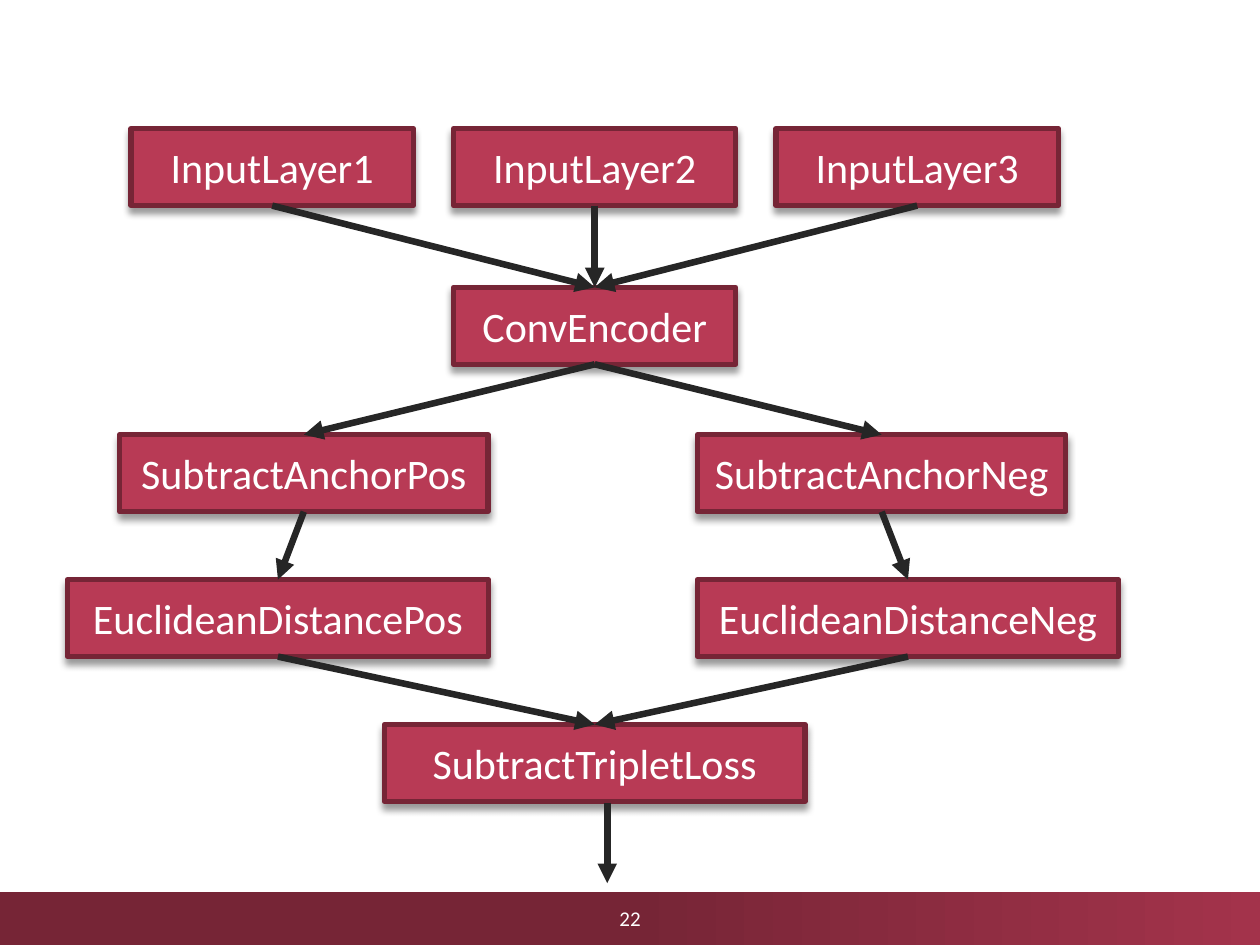
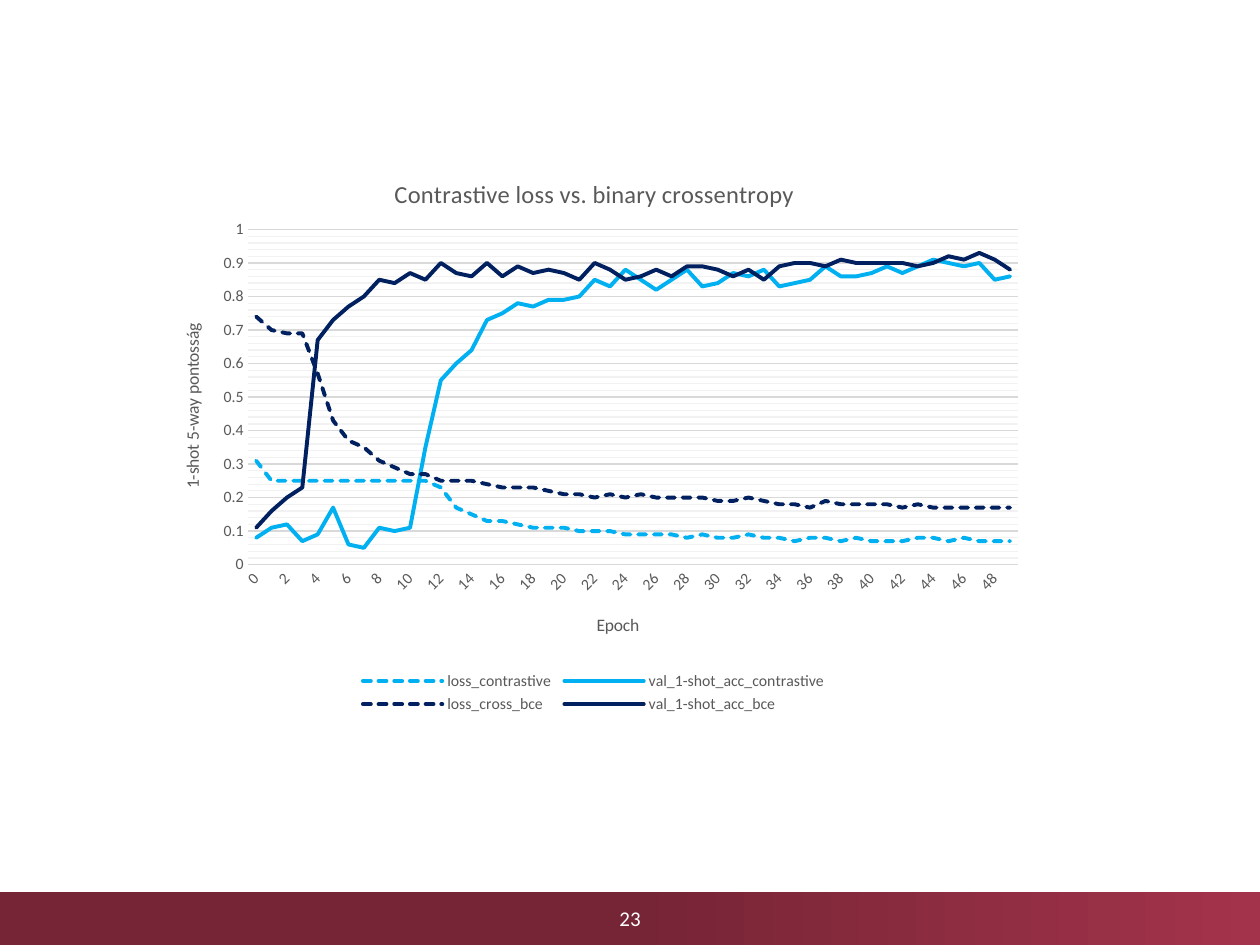
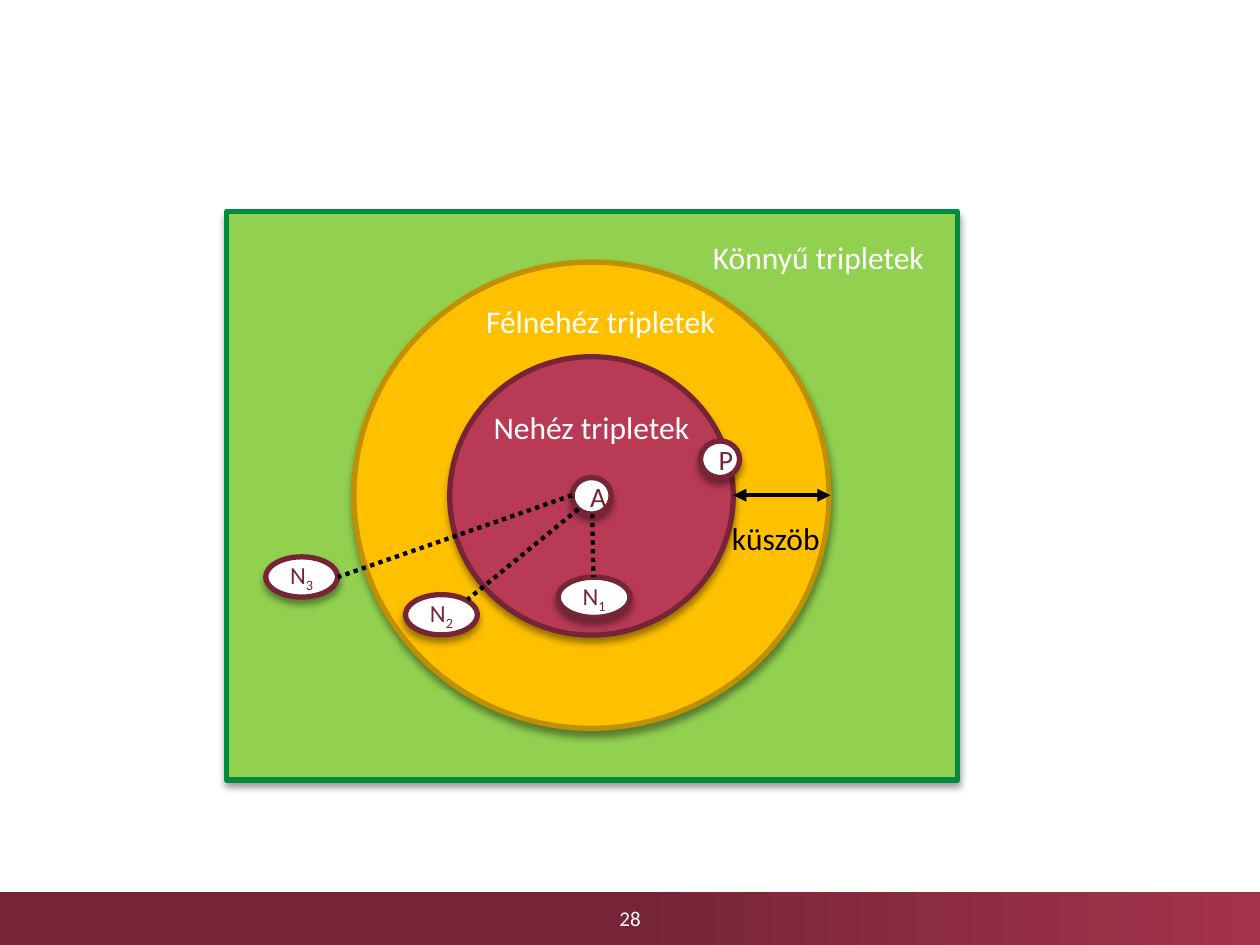
import copy
from dataclasses import dataclass
from typing import NamedTuple

import lxml.etree
import pptx
import pptx.chart.data
import pptx.dml.color
import pptx.enum.chart
import pptx.enum.dml
import pptx.enum.shapes
import pptx.enum.text
import pptx.oxml.ns
import pptx.util

Pt = pptx.util.Pt
qn = pptx.oxml.ns.qn
Kind = pptx.enum.shapes.MSO_SHAPE
Dash = pptx.enum.dml.MSO_LINE
Align = pptx.enum.text.PP_ALIGN


# Colours and type sizes
@dataclass(frozen=True)
class Theme:
    font: str = "Calibri"
    white: str = "FFFFFF"
    black: str = "000000"
    wine: str = "762536"
    rose: str = "B83A55"
    blush: str = "A3334B"
    ink: str = "262626"
    lime: str = "92D050"
    green: str = "008A3E"
    gold: str = "FFC000"
    bronze: str = "BF9000"
    sky: str = "00B0F0"
    navy: str = "002060"
    gray: str = "595959"
    grid: str = "D9D9D9"
    faint: str = "F2F2F2"
    node: float = 24
    label: float = 18
    point: float = 16
    neg: float = 14
    head: float = 14
    foot: float = 12
    axis: float = 10
    tick: float = 9
    edge: float = 3


T = Theme()


# Repeated elements; lengths in points
class Node(NamedTuple):
    name: str
    left: float
    top: float
    width: float
    feeds: str


class Disc(NamedTuple):
    kind: Kind
    left: float
    top: float
    width: float
    height: float
    fill: str
    edge: str
    text: str = ""
    size: float = 0
    sub: str = ""


class Label(NamedTuple):
    text: str
    left: float
    top: float
    color: str


class Curve(NamedTuple):
    name: str
    color: str
    dashed: bool
    values: str


NODE_H, COL = 44, 161.3
ROWS = (73.5, 164.2, 248.4, 331.2, 414)
NODES = [Node(f"InputLayer{i + 1}", 74.9 + 184.3 * i, ROWS[0], COL, "ConvEncoder")
         for i in range(3)] + [
    Node("ConvEncoder", 259.2, ROWS[1], COL, "SubtractAnchorPos SubtractAnchorNeg"),
    Node("SubtractAnchorPos", 68.4, ROWS[2], 210.5, "EuclideanDistancePos"),
    Node("SubtractAnchorNeg", 398.6, ROWS[2], 210.5, "EuclideanDistanceNeg"),
    Node("EuclideanDistancePos", 38.6, ROWS[3], 240.5, "SubtractTripletLoss"),
    Node("EuclideanDistanceNeg", 398.6, ROWS[3], 240.5, "SubtractTripletLoss"),
    Node("SubtractTripletLoss", 219.6, ROWS[4], 240.5, ""),
]

# Curve values in hundredths, one for each epoch
CURVES = [
    Curve("loss_contrastive", T.sky, True,
          "31 25 25 25 25 25 25 25 25 25 25 25 23 17 15 13 13 12 11 11 11 10 10 10 9 "
          "9 9 9 8 9 8 8 9 8 8 7 8 8 7 8 7 7 7 8 8 7 8 7 7 7"),
    Curve("val_1-shot_acc_contrastive", T.sky, False,
          "8 11 12 7 9 17 6 5 11 10 11 35 55 60 64 73 75 78 77 79 79 80 85 83 88 "
          "85 82 85 88 83 84 87 86 88 83 84 85 89 86 86 87 89 87 89 91 90 89 90 85 86"),
    Curve("loss_cross_bce", T.navy, True,
          "74 70 69 69 57 43 37 35 31 29 27 27 25 25 25 24 23 23 23 22 21 21 20 21 20 "
          "21 20 20 20 20 19 19 20 19 18 18 17 19 18 18 18 18 17 18 17 17 17 17 17 17"),
    Curve("val_1-shot_acc_bce", T.navy, False,
          "11 16 20 23 67 73 77 80 85 84 87 85 90 87 86 90 86 89 87 88 87 85 90 88 85 "
          "86 88 86 89 89 88 86 88 85 89 90 90 89 91 90 90 90 90 89 90 92 91 93 91 88"),
]


def small(kind: Kind, left: float, top: float, width: float, height: float,
          text: str, size: float, sub: str = "") -> Disc:
    return Disc(kind, left, top, width, height, T.white, T.wine, text, size, sub)


DISCS = [
    Disc(Kind.RECTANGLE, 129.6, 121, 417.6, 324.7, T.lime, T.green),
    Disc(Kind.OVAL, 202.3, 149.8, 271.4, 266.4, T.gold, T.bronze),
    Disc(Kind.OVAL, 257, 203.8, 162, 159.1, T.rose, T.wine),
    small(Kind.OVAL, 326.9, 272.9, 22.3, 20.9, "A", T.point),
    small(Kind.OVAL, 400.3, 252, 22.3, 20.9, "P", T.point),
    small(Kind.OVAL, 319, 329.8, 41, 23, "N", T.neg, "1"),
    small(Kind.OVAL, 231.8, 339.8, 41, 23, "N", T.neg, "2"),
    small(Kind.OVAL, 151.9, 318.2, 41, 23, "N", T.neg, "3"),
]
LABELS = [
    Label("Nehéz tripletek", 275, 229.7, T.white),
    Label("Könnyű tripletek", 400.3, 132.5, T.white),
    Label("Félnehéz tripletek", 270.7, 169.2, T.white),
    Label("küszöb", 411.1, 293, T.black),
]
DOTS = [(338.4, 293.8, 339.1, 329.8), (330.5, 290.9, 267.1, 342.7),
        (326.9, 283, 193, 329.8)]


# Shared helpers
def rgb(code: str) -> pptx.dml.color.RGBColor:
    return pptx.dml.color.RGBColor.from_string(code)


def style(font, size: float, color: str) -> None:
    font.name, font.size, font.bold = T.font, Pt(size), False
    font.color.rgb = rgb(color)


def write(shape, text: str, size: float, color: str, align=Align.CENTER) -> None:
    shape.text_frame.text = text
    para = shape.text_frame.paragraphs[0]
    para.alignment = align
    style(para.runs[0].font, size, color)


def add_box(slide, kind: Kind, place: tuple, fill: str, edge: str):
    shape = slide.shapes.add_shape(kind, *map(Pt, place))
    shape.fill.solid()
    shape.fill.fore_color.rgb = rgb(fill)
    shape.line.color.rgb = rgb(edge)
    shape.line.width = Pt(T.edge)
    # Soft shadow straight below
    shape.shadow.inherit = False
    effects = shape._element.spPr.find(qn("a:effectLst"))
    shade = lxml.etree.SubElement(effects, qn("a:outerShdw"), blurRad=str(Pt(4)),
                                  dist=str(Pt(3)), dir="5400000", rotWithShape="0")
    tone = lxml.etree.SubElement(shade, qn("a:srgbClr"), val=T.black)
    lxml.etree.SubElement(tone, qn("a:alpha"), val="40000")
    return shape


def add_line(slide, ends: tuple, color: str, width: float, tips: tuple = (), dash=None):
    line = slide.shapes.add_connector(pptx.enum.shapes.MSO_CONNECTOR.STRAIGHT,
                                      *map(Pt, ends))
    line.line.color.rgb = rgb(color)
    line.line.width = Pt(width)
    if dash:
        line.line.dash_style = dash
    props = line._element.spPr
    for tip in tips:
        lxml.etree.SubElement(props.find(qn("a:ln")), qn(f"a:{tip}"), type="triangle")
    lxml.etree.SubElement(props, qn("a:effectLst"))
    return line


def add_text(slide, place: tuple, text: str, size: float, color: str, align):
    box = slide.shapes.add_textbox(*map(Pt, place))
    box.text_frame.word_wrap = True
    write(box, text, size, color, align)
    return box


def add_slide(deck, number: int):
    slide = deck.slides.add_slide(deck.slide_layouts[6])
    band = slide.shapes.add_shape(Kind.RECTANGLE, 0, Pt(510), Pt(720), Pt(30))
    band.shadow.inherit = False
    band.line.fill.background()
    band.fill.gradient()
    band.fill.gradient_angle = 0
    for stop, place, color in zip(band.fill.gradient_stops, (0.5, 1), (T.wine, T.blush)):
        stop.position = place
        stop.color.rgb = rgb(color)
    foot = add_text(slide, (279, 510, 162, 29), str(number), T.foot, T.white, Align.CENTER)
    foot.text_frame.vertical_anchor = pptx.enum.text.MSO_ANCHOR.MIDDLE
    return slide


# Layer diagram
def draw_net(deck) -> None:
    slide = add_slide(deck, 22)
    boxes = {}
    for node in NODES:
        box = add_box(slide, Kind.RECTANGLE, (node.left, node.top, node.width, NODE_H),
                      T.rose, T.wine)
        write(box, node.name, T.node, T.white)
        box.text_frame.word_wrap = False
        boxes[node.name] = box
    for node in NODES:
        for goal in node.feeds.split():
            line = add_line(slide, (0, 0, 0, 0), T.ink, 3.75, ("tailEnd",))
            line.begin_connect(boxes[node.name], 2)
            line.end_connect(boxes[goal], 0)
    add_line(slide, (347, 458.6, 347, 504.7), T.ink, 3.75, ("tailEnd",))


# Line chart
def pin(item, x: float, y: float, size: tuple = (), inner: bool = False) -> None:
    """Fix a chart part at fractions of the chart area."""
    layout = item.find(qn("c:layout"))
    if layout is None:
        layout = lxml.etree.Element(qn("c:layout"))
        before = item.find(qn("c:tx"))
        if before is None:
            before = item.find(qn("c:legendPos"))
        if before is None:
            item.insert(0, layout)
        else:
            before.addnext(layout)
    for old in list(layout):
        layout.remove(old)
    hand = lxml.etree.SubElement(layout, qn("c:manualLayout"))
    parts = [("layoutTarget", "inner")] if inner else []
    parts += [("xMode", "edge"), ("yMode", "edge"), ("x", x), ("y", y)]
    parts += zip("wh", size)
    for tag, value in parts:
        lxml.etree.SubElement(hand, qn(f"c:{tag}"), val=str(value))


def set_title(owner, text: str, size: float, x: float, y: float) -> None:
    owner.has_title = True
    title = owner.chart_title if hasattr(owner, "chart_title") else owner.axis_title
    title.text_frame.text = text
    style(title.text_frame.paragraphs[0].runs[0].font, size, T.gray)
    pin(title._element, x, y)


def draw_chart(deck) -> None:
    slide = add_slide(deck, 23)
    data = pptx.chart.data.CategoryChartData()
    data.categories = [str(epoch) for epoch in range(50)]
    for curve in CURVES:
        data.add_series(curve.name, [int(v) / 100 for v in curve.values.split()])
    chart = slide.shapes.add_chart(pptx.enum.chart.XL_CHART_TYPE.LINE,
                                   *map(Pt, (86.4, 85.7, 505.4, 324.7)), data).chart
    style(chart.font, T.axis, T.black)
    chart.plots[0].vary_by_categories = False
    for series, curve in zip(chart.plots[0].series, CURVES):
        series.smooth = False
        series.marker.style = pptx.enum.chart.XL_MARKER_STYLE.NONE
        series.format.line.color.rgb = rgb(curve.color)
        series.format.line.width = Pt(2.25)
        if curve.dashed:
            series.format.line.dash_style = Dash.SQUARE_DOT
        series._element.find(qn("c:spPr")).find(qn("a:ln")).set("cap", "rnd")

    # Axes
    cat, val = chart.category_axis, chart.value_axis
    for axis in (cat, val):
        axis.major_tick_mark = axis.minor_tick_mark = pptx.enum.chart.XL_TICK_MARK.NONE
        style(axis.tick_labels.font, T.tick, T.gray)
    cat.format.line.color.rgb = rgb(T.grid)
    cat.format.line.width = Pt(0.75)
    cat._element.find(qn("c:txPr")).find(qn("a:bodyPr")).set("rot", "-2700000")
    skip = lxml.etree.Element(qn("c:tickLblSkip"), val="2")
    cat._element.find(qn("c:noMultiLvlLbl")).addprevious(skip)
    val.format.line.fill.background()
    val.minimum_scale, val.maximum_scale = 0, 1
    val.major_unit, val.minor_unit = 0.1, 0.02
    val.tick_labels.number_format = "General"
    val.tick_labels.number_format_is_linked = False

    # Grid lines: the minor ones repeat the major format in a paler colour
    val.has_major_gridlines = val.has_minor_gridlines = True
    val.major_gridlines.format.line.color.rgb = rgb(T.grid)
    val.major_gridlines.format.line.width = Pt(0.75)
    major = val._element.find(qn("c:majorGridlines"))
    minor = val._element.find(qn("c:minorGridlines"))
    minor.append(copy.deepcopy(major.find(qn("c:spPr"))))
    for tone in minor.iter(qn("a:srgbClr")):
        tone.set("val", T.faint)

    # Titles, legend and plot area
    set_title(chart, "Contrastive loss vs. binary crossentropy", T.head, 0.27, 0.04)
    set_title(cat, "Epoch", T.axis, 0.5, 0.81)
    set_title(val, "1-shot 5-way pontosság", T.axis, 0.03, 0.3)
    chart.has_legend = True
    chart.legend.position = pptx.enum.chart.XL_LEGEND_POSITION.BOTTOM
    chart.legend.include_in_layout = False
    style(chart.legend.font, T.tick, T.gray)
    pin(chart.legend._element, 0.23, 0.91, (0.54, 0.09))
    area = chart._chartSpace.find(qn("c:chart")).find(qn("c:plotArea"))
    pin(area, 0.11, 0.14, (0.87, 0.59), inner=True)


# Triplet zones
def draw_zones(deck) -> None:
    slide = add_slide(deck, 28)
    for disc in DISCS:
        shape = add_box(slide, disc.kind, disc[1:5], disc.fill, disc.edge)
        if disc.text:
            write(shape, disc.text, disc.size, T.wine)
        if disc.sub:
            run = shape.text_frame.paragraphs[0].add_run()
            run.text = disc.sub
            style(run.font, disc.size, T.wine)
            run._r.get_or_add_rPr().set("baseline", "-25000")
    for ends in DOTS:
        add_line(slide, ends, T.black, 2.5, dash=Dash.ROUND_DOT)
    add_line(slide, (419, 283, 474.5, 283), T.black, 2.5, ("headEnd", "tailEnd"))
    for label in LABELS:
        add_text(slide, (label.left, label.top, 149, 29), label.text, T.label,
                 label.color, Align.LEFT)


def main() -> None:
    deck = pptx.Presentation()
    deck.slide_width, deck.slide_height = Pt(720), Pt(540)
    draw_net(deck)
    draw_chart(deck)
    draw_zones(deck)
    deck.save("out.pptx")


if __name__ == "__main__":
    main()
